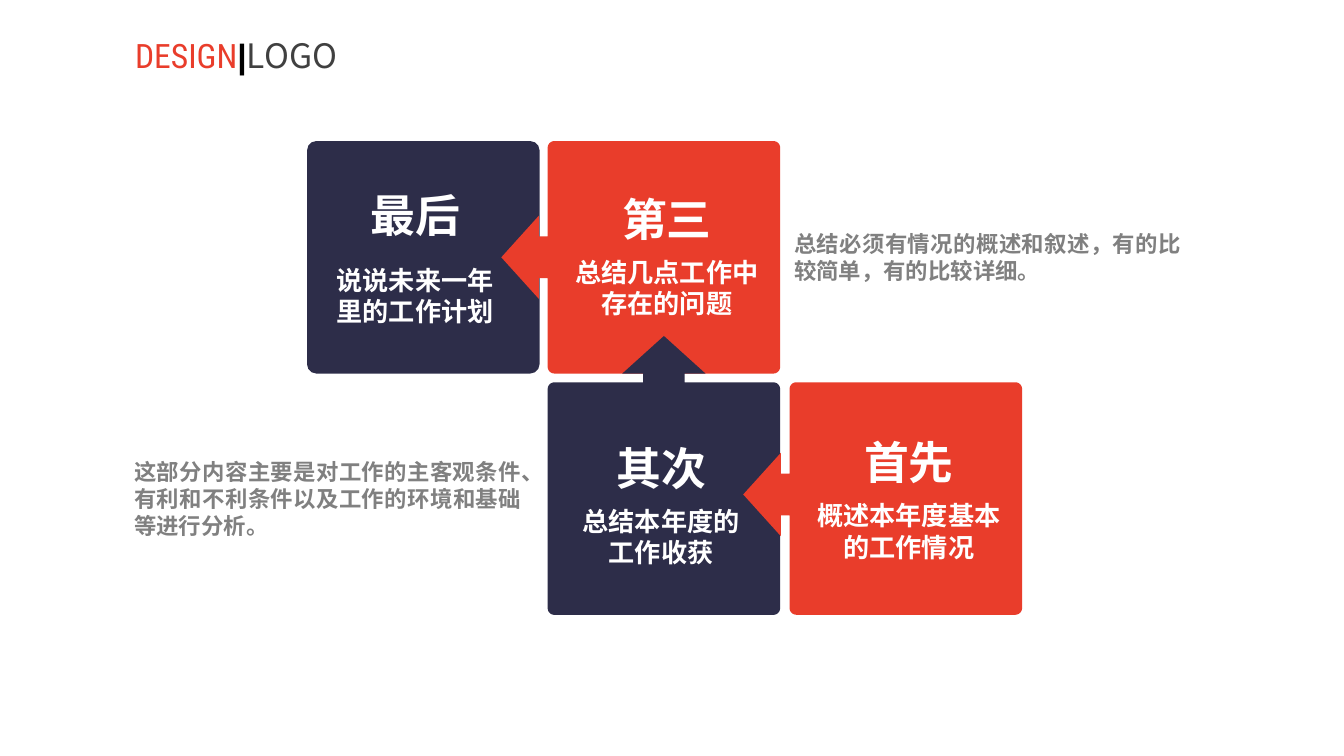
import math
from dataclasses import dataclass
from typing import Optional

from lxml import etree
from pptx import Presentation
from pptx import util as u
from pptx.dml.color import RGBColor
from pptx.enum import shapes, text
from pptx.oxml.ns import qn

PX = 4572  # EMU per px, 200 px to the inch


@dataclass(frozen=True)
class Theme:
    navy: str = "2D2D49"
    red: str = "E93D2B"
    white: str = "FFFFFF"
    grey: str = "808080"
    dark: str = "404040"
    black: str = "000000"
    cjk: str = "Noto Sans CJK SC"
    condensed: str = "Roboto Condensed"
    latin: str = "Arial"
    heading: int = 24
    logo: int = 18
    body: int = 14
    note: int = 12


@dataclass(frozen=True)
class Tile:
    heading: str
    body: str
    x: int
    y: int
    color: str
    insets: tuple[int, int, int, int]
    body_gap: int = 6
    arrow: Optional[str] = None  # "left" or "up"
    arrow_at: int = 0  # arrow axis, measured along the tile edge


@dataclass(frozen=True)
class Note:
    text: str
    x: int
    y: int


T = Theme()
SIDE, NOTE_W = 346, 616
RADIUS = 10
GAP, HEAD = 13, 56  # neck and head length of an arrow
NECK_HALF, HEAD_HALF = 31, 62
COL1, COL2, COL3 = 457, 815, 1175
ROW1, ROW2 = 210, 569

TILES = [
    Tile("最后", "说说未来一年里的工作计划", COL1, ROW1, T.navy,
         (24, 0, 48, 0), body_gap=12),
    Tile("第三", "总结几点工作中存在的问题", COL2, ROW1, T.red,
         (102, 48, 24, 54), arrow="left", arrow_at=173),
    Tile("其次", "总结本年度的工作收获", COL2, ROW2, T.navy,
         (40, 86, 48, 0), arrow="up", arrow_at=173),
    Tile("首先", "概述本年度基本的工作情况", COL3, ROW2, T.red,
         (102, 0, 24, 0), arrow="left", arrow_at=167),
]
NOTES = [
    Note("总结必须有情况的概述和叙述，有的比较简单，有的比较详细。", 1162, ROW1),
    Note("这部分内容主要是对工作的主客观条件、有利和不利条件以及工作的环境和基础等进行分析。",
         180, ROW2),
]
LOGO = [("DESIGN", T.condensed, T.red, False),
        ("|", T.latin, T.black, True),
        ("LOGO", T.cjk, T.dark, False)]


def px(*lengths: int) -> list[u.Emu]:
    return [u.Emu(n * PX) for n in lengths]


def set_font(font, name: str, color: str, bold: bool, size: int) -> None:
    font.size, font.bold, font.name = u.Pt(size), bold, name
    font.color.rgb = RGBColor.from_string(color)
    etree.SubElement(font._rPr, qn("a:ea"), typeface=name)


def tile_outline(tile: Tile) -> list[tuple[int, int]]:
    """Corner points in EMU: a rounded square with an arrow on its left or top."""
    a = tile.arrow_at
    points = [(0, a + NECK_HALF), (-GAP, a + NECK_HALF), (-GAP, a + HEAD_HALF),
              (-GAP - HEAD, a), (-GAP, a - HEAD_HALF), (-GAP, a - NECK_HALF),
              (0, a - NECK_HALF)]
    near, far = RADIUS, SIDE - RADIUS
    corners = [(near, near, 180), (far, near, 270), (far, far, 0), (near, far, 90)]
    for cx, cy, start in corners:
        for step in range(0, 91, 15):
            angle = math.radians(start + step)
            points.append((cx + RADIUS * math.cos(angle),
                           cy + RADIUS * math.sin(angle)))
    if tile.arrow == "up":
        points = [(y, x) for x, y in points]
    return [(round((tile.x + x) * PX), round((tile.y + y) * PX)) for x, y in points]


def draw_tile(s, tile: Tile) -> None:
    if tile.arrow:
        start, *rest = tile_outline(tile)
        builder = s.shapes.build_freeform(*start, scale=1.0)
        builder.add_line_segments(rest, close=True)
        sp = builder.convert_to_shape()
    else:
        sp = s.shapes.add_shape(shapes.MSO_SHAPE.ROUNDED_RECTANGLE,
                                *px(tile.x, tile.y, SIDE, SIDE))
        sp.adjustments[0] = 0.04
    sp.shadow.inherit = False
    sp.fill.solid()
    sp.fill.fore_color.rgb = RGBColor.from_string(tile.color)
    sp.line.fill.background()

    tf = sp.text_frame
    tf.word_wrap = True
    tf.vertical_anchor = text.MSO_ANCHOR.MIDDLE
    tf.margin_left, tf.margin_top, tf.margin_right, tf.margin_bottom = px(*tile.insets)
    lines = [(tf.paragraphs[0], tile.heading, T.heading, 6),
             (tf.add_paragraph(), tile.body, T.body, tile.body_gap)]
    for p, words, size, gap in lines:
        p.text = words
        p.alignment = text.PP_ALIGN.CENTER
        p.space_before = u.Pt(gap)
        set_font(p.font, T.cjk, T.white, True, size)


def draw_note(s, note: Note) -> None:
    tf = s.shapes.add_textbox(*px(note.x, note.y, NOTE_W, SIDE)).text_frame
    tf.word_wrap = True
    tf.vertical_anchor = text.MSO_ANCHOR.MIDDLE
    p = tf.paragraphs[0]
    p.text = note.text
    p.alignment = text.PP_ALIGN.JUSTIFY
    set_font(p.font, T.cjk, T.grey, True, T.note)


def draw_title(s) -> None:
    sp = s.shapes.title
    sp.left, sp.top, sp.width, sp.height = px(181, 42, 360, 80)
    tf = sp.text_frame
    tf.word_wrap = False
    tf.auto_size = text.MSO_AUTO_SIZE.SHAPE_TO_FIT_TEXT
    tf.vertical_anchor = text.MSO_ANCHOR.TOP
    p = tf.paragraphs[0]
    p.alignment = text.PP_ALIGN.LEFT
    for words, name, color, bold in LOGO:
        r = p.add_run()
        r.text = words
        set_font(r.font, name, color, bold, T.logo)


def main() -> None:
    prs = Presentation()
    prs.slide_width, prs.slide_height = px(2000, 1125)
    s = prs.slides.add_slide(prs.slide_layouts.get_by_name("Title Only"))
    for tile in TILES:
        draw_tile(s, tile)
    for note in NOTES:
        draw_note(s, note)
    draw_title(s)
    prs.save("out.pptx")


if __name__ == "__main__":
    main()
